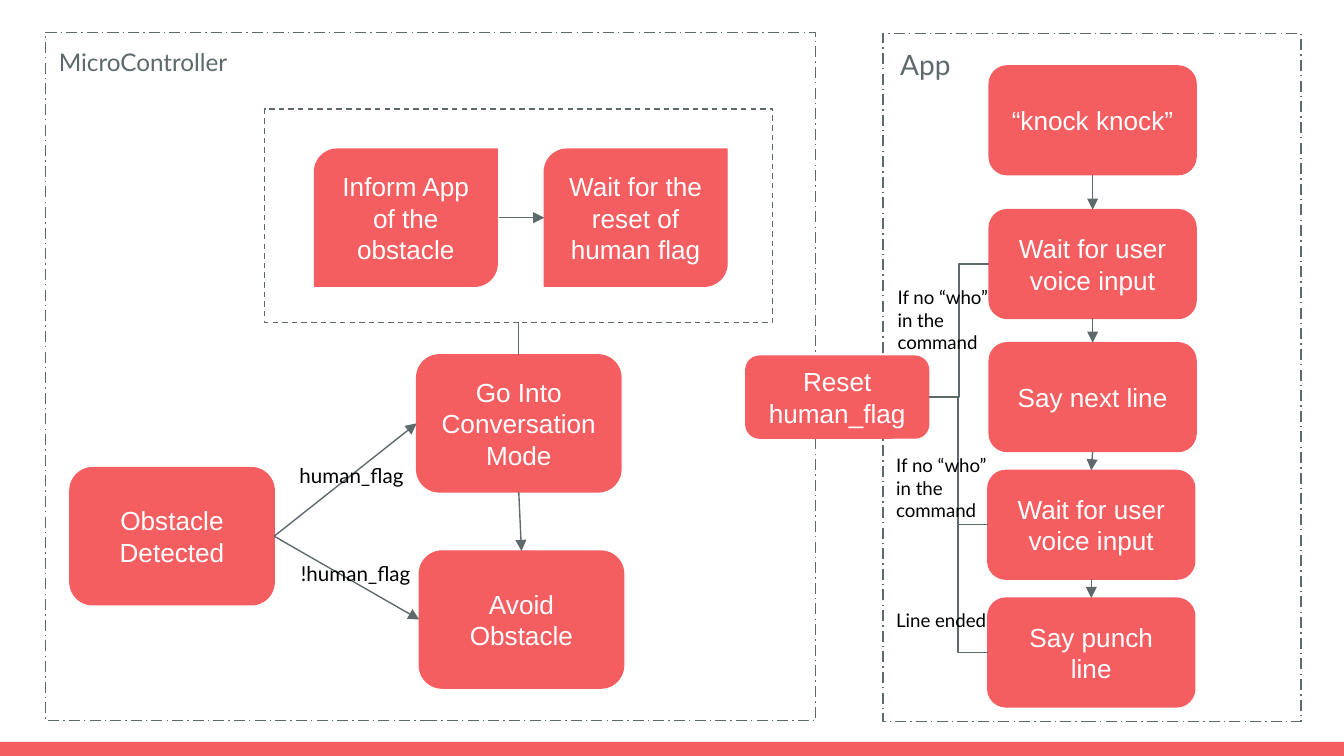
from lxml import etree
from pptx import Presentation
from pptx import util as u
from pptx.dml.color import RGBColor
from pptx.enum import dml, shapes, text
from pptx.oxml.ns import qn

PX = 9144  # 100 px to the inch
HUES = {"coral": "F55E61", "slate": "5E696C", "white": "FFFFFF", "black": "000000"}
HUES = {name: RGBColor.from_string(code) for name, code in HUES.items()}
KIND = shapes.MSO_SHAPE
LINK = shapes.MSO_CONNECTOR
DASH = dml.MSO_LINE
TOP, LEFT, BOTTOM, RIGHT = range(4)

# Wide 16:9 page
prs = Presentation()
prs.slide_width = 1000 * PX
prs.slide_height = prs.slide_width * 9 // 16
slide = prs.slides.add_slide(prs.slide_layouts[6])
tree = slide.shapes


def write(shape, words, size=14, font="Arial", hue="white",
          align=text.PP_ALIGN.CENTER, anchor=text.MSO_ANCHOR.MIDDLE):
    frame = shape.text_frame
    frame.word_wrap = True
    frame.vertical_anchor = anchor
    frame.margin_left = frame.margin_right = 10 * PX
    frame.margin_top = frame.margin_bottom = 10 * PX
    para = frame.paragraphs[0]
    para.alignment = align
    run = para.add_run()
    run.text = words
    run.font.size, run.font.name = u.Pt(size), font
    run.font.color.rgb = HUES[hue]


def join(kind, start, end, arrow=True):
    """Draw a line between two (x, y) points or two (shape, site) pairs."""
    glued = not isinstance(start[0], int)
    ends = (0, 0, 0, 0) if glued else [n * PX for n in (*start, *end)]
    line = tree.add_connector(kind, *ends)
    if glued:
        line.begin_connect(*start)
        line.end_connect(*end)
    line.line.color.rgb = HUES["slate"]
    line.line.width = u.Pt(0.75)
    if arrow:
        etree.SubElement(line.line._get_or_add_ln(), qn("a:tailEnd"), type="triangle")
    etree.SubElement(line._element.spPr, qn("a:effectLst"))


# Footer bar
bar = tree.add_shape(KIND.RECTANGLE, 0, 552 * PX, 1000 * PX, 11 * PX)
bar.shadow.inherit = False
bar.fill.solid()
bar.fill.fore_color.rgb = HUES["coral"]
bar.line.fill.background()

# Dashed frames
frames = {}
for name, dash, *spot in [
    ("micro", DASH.LONG_DASH_DOT, 34, 24, 573, 512),
    ("talk", DASH.DASH, 197, 81, 378, 159),
    ("app", DASH.LONG_DASH_DOT, 657, 25, 311, 512),
]:
    frame = tree.add_shape(KIND.RECTANGLE, *[n * PX for n in spot])
    frame.shadow.inherit = False
    frame.fill.background()
    frame.line.color.rgb = HUES["slate"]
    frame.line.width = u.Pt(0.75)
    frame.line.dash_style = dash
    frames[name] = frame

# Step boxes
ROUND, DIAG = KIND.ROUNDED_RECTANGLE, KIND.ROUND_2_DIAG_RECTANGLE
boxes = {}
for name, kind, words, *spot in [
    ("found", ROUND, "Obstacle Detected", 52, 348, 152, 102),
    ("mode", ROUND, "Go Into Conversation Mode", 310, 264, 152, 102),
    ("avoid", ROUND, "Avoid Obstacle", 312, 410, 152, 102),
    ("inform", DIAG, "Inform App of the obstacle", 234, 111, 136, 102),
    ("wait", DIAG, "Wait for the reset of human flag", 405, 111, 136, 102),
    ("knock", ROUND, "“knock knock”", 736, 49, 154, 81),
    ("hear", ROUND, "Wait for user voice input", 736, 156, 154, 81),
    ("next", ROUND, "Say next line", 736, 255, 154, 81),
    ("again", ROUND, "Wait for user voice input", 735, 350, 154, 81),
    ("punch", ROUND, "Say punch line", 735, 445, 154, 81),
    ("reset", ROUND, "Reset human_flag", 555, 265, 136, 61),
]:
    box = tree.add_shape(kind, *[n * PX for n in spot])
    box.shadow.inherit = False
    box.fill.solid()
    box.fill.fore_color.rgb = HUES["coral"]
    box.line.color.rgb = HUES["coral"]
    box.line.width = u.Pt(0.75)
    write(box, words)
    boxes[name] = box

# Controller flow
join(LINK.STRAIGHT, (boxes["mode"], TOP), (frames["talk"], BOTTOM), arrow=False)
join(LINK.STRAIGHT, (371, 162), (405, 162))
for goal in ("mode", "avoid"):
    join(LINK.STRAIGHT, (boxes["found"], RIGHT), (boxes[goal], LEFT))
join(LINK.STRAIGHT, (boxes["mode"], BOTTOM), (boxes["avoid"], TOP))

# App flow, top to bottom
steps = ["knock", "hear", "next", "again", "punch"]
for here, there in zip(steps, steps[1:]):
    join(LINK.STRAIGHT, (boxes[here], BOTTOM), (boxes[there], TOP))

# Ways back to the reset
for name in ("hear", "again", "punch"):
    join(LINK.ELBOW, (boxes[name], LEFT), (boxes["reset"], RIGHT), arrow=False)

# Labels
for words, size, hue, *spot in [
    ("human_flag", 11, "black", 213, 335, 107, 44),
    ("!human_flag", 11, "black", 214, 408, 122, 44),
    ("If no “who” in the command", 10, "black", 658, 203, 95, 52),
    ("If no “who” in the command", 10, "black", 657, 328, 97, 61),
    ("Line ended", 10, "black", 657, 445, 97, 26),
    ("App", 15, "slate", 660, 25, 107, 52),
    ("MicroController", 13, "slate", 34, 25, 163, 52),
]:
    label = tree.add_textbox(*[n * PX for n in spot])
    write(label, words, size=size, font="Lato", hue=hue,
          align=text.PP_ALIGN.LEFT, anchor=text.MSO_ANCHOR.TOP)

prs.save("out.pptx")
